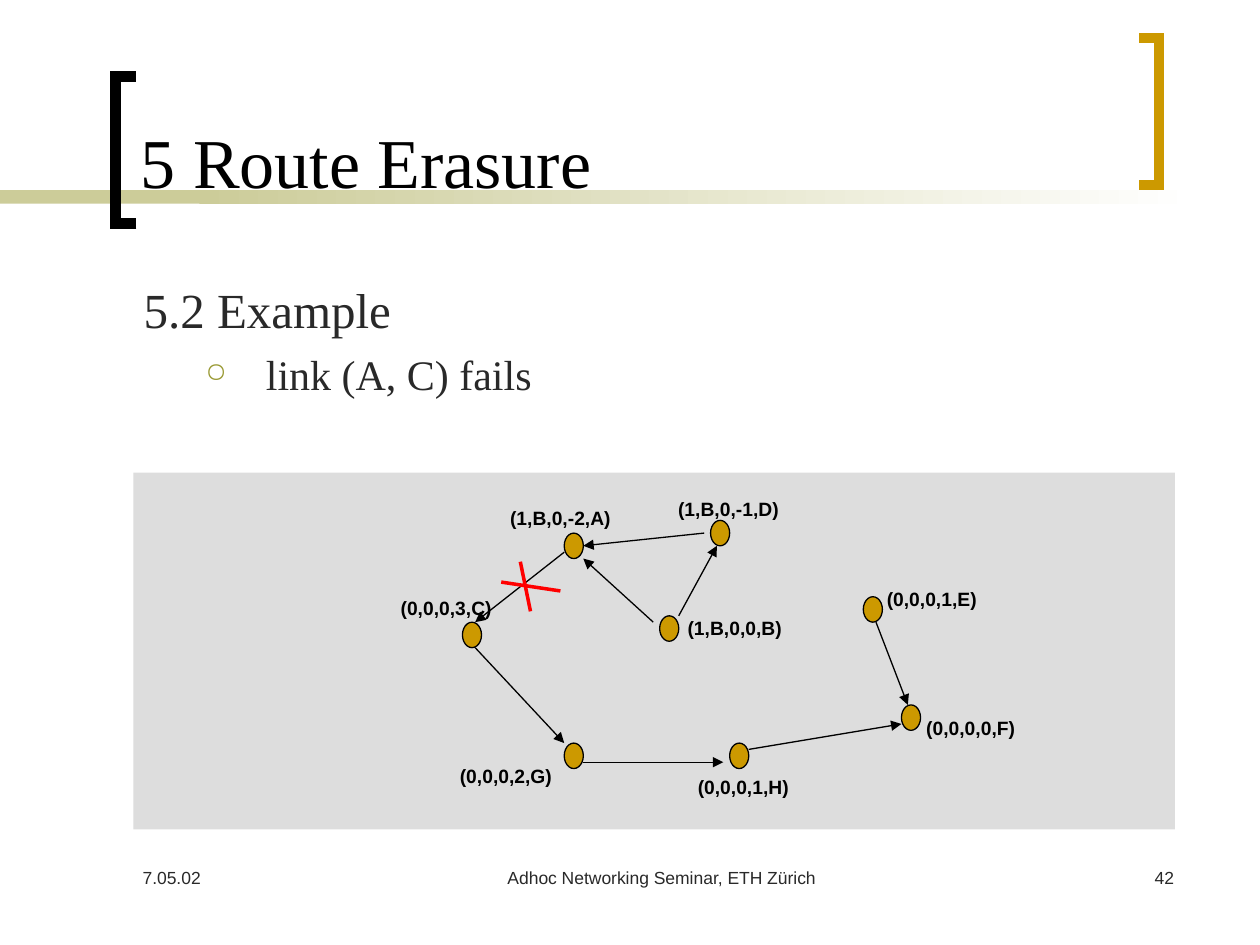
"""Build the Route Erasure slide with its network graph."""
from typing import NamedTuple

from lxml import etree
from pptx import Presentation
from pptx.dml.color import RGBColor
from pptx.enum.shapes import MSO_CONNECTOR, MSO_SHAPE
from pptx.enum.text import MSO_ANCHOR, MSO_AUTO_SIZE, PP_ALIGN
from pptx.oxml.ns import qn
from pptx.util import Inches, Pt

RECT, OVAL = MSO_SHAPE.RECTANGLE, MSO_SHAPE.OVAL
LINE = MSO_CONNECTOR.STRAIGHT
LEFT, MID, RIGHT = PP_ALIGN.LEFT, PP_ALIGN.CENTER, PP_ALIGN.RIGHT
TOP, BASE = MSO_ANCHOR.TOP, MSO_ANCHOR.BOTTOM
FIXED = MSO_AUTO_SIZE.NONE

BLACK = RGBColor(0x00, 0x00, 0x00)
WHITE = RGBColor(0xFF, 0xFF, 0xFF)
INK = RGBColor(0x29, 0x29, 0x29)
GOLD = RGBColor(0xCC, 0x99, 0x00)
SAND = RGBColor(0xCC, 0xCC, 0x99)
OLIVE = RGBColor(0x99, 0x99, 0x33)
GREY = RGBColor(0xDD, 0xDD, 0xDD)
RED = RGBColor(0xFF, 0x00, 0x00)

SERIF, SANS = "Times New Roman", "Arial"


class Grid(NamedTuple):
    left: float
    top: float
    step: float

    def spot(self, col: float, row: float) -> tuple:
        return Inches(self.left + col * self.step), Inches(self.top + row * self.step)

    def size(self, cols: float, rows: float) -> tuple:
        return Inches(cols * self.step), Inches(rows * self.step)


class Box(NamedTuple):
    col: float
    row: float
    cols: float
    rows: float


class Node(NamedTuple):
    col: float
    row: float
    text: str
    tcol: float
    trow: float


class Link(NamedTuple):
    start: tuple
    end: tuple


class Brace(NamedTuple):
    edge: float
    tip: float
    top: float
    color: RGBColor


class Foot(NamedTuple):
    box: Box
    text: str
    align: PP_ALIGN


PAGE = Grid(0, 0, 10 / 120)
GRAPH = Grid(3.67, 4.13, 1.01 / 20)

NODES = [
    Node(16, 2, "(1,B,0,-2,A)", 6.1, -3),
    Node(39, 0, "(1,B,0,-1,D)", 32.5, -4.4),
    Node(0, 16, "(0,0,0,3,C)", -11.1, 11.1),
    Node(63, 12, "(0,0,0,1,E)", 65.3, 9.7),
    Node(31, 15, "(1,B,0,0,B)", 34, 14.3),
    Node(16, 35, "(0,0,0,2,G)", -1.8, 37.6),
    Node(42, 35, "(0,0,0,1,H)", 35.6, 39.2),
    Node(69, 29, "(0,0,0,0,F)", 71.5, 30),
]
LINKS = [
    Link((16, 5), (2, 16)),
    Link((38, 2), (19, 4)),
    Link((2, 20), (16, 35)),
    Link((30, 16), (19, 6)),
    Link((34, 15), (40, 4)),
    Link((19, 38), (41, 38)),
    Link((45, 36), (69, 32)),
    Link((65, 16), (70, 29)),
]
CROSS = [Link((9.1, 6.5), (10.7, 14.3)), Link((6.1, 9.7), (15.4, 11.1))]
BRACES = [Brace(11, 13, 7.3, BLACK), Brace(110.4, 108.5, 3.6, GOLD)]
FEET = [
    Foot(Box(12.4, 82, 25, 6), "7.05.02", LEFT),
    Foot(Box(44, 82, 38, 6), "Adhoc Networking Seminar, ETH Zürich", MID),
    Foot(Box(88, 82, 25, 6), "42", RIGHT),
]


def place(grid: Grid, box: Box) -> tuple:
    return *grid.spot(box.col, box.row), *grid.size(box.cols, box.rows)


def write(par, text: str, *, font=SANS, size=10, color=INK, bold=False,
          align=LEFT, before=0) -> None:
    par.alignment = align
    par.space_before = Pt(before)
    run = par.add_run()
    run.text = text
    run.font.name, run.font.size, run.font.bold = font, Pt(size), bold
    run.font.color.rgb = color


def frame(shapes, grid: Grid, box: Box, pad=(0.1, 0.05), wrap=True):
    body = shapes.add_textbox(*place(grid, box)).text_frame
    body.word_wrap = wrap
    body.vertical_anchor = TOP
    body.margin_left = body.margin_right = Inches(pad[0])
    body.margin_top = body.margin_bottom = Inches(pad[1])
    return body


def solid(shapes, grid: Grid, box: Box, kind, fill: RGBColor, line=None):
    shape = shapes.add_shape(kind, *place(grid, box))
    shape.shadow.inherit = False
    shape.fill.solid()
    shape.fill.fore_color.rgb = fill
    if line is None:
        shape.line.fill.background()
    else:
        shape.line.color.rgb = line
        shape.line.width = Pt(0.75)
    return shape


def join(shapes, link: Link, color=BLACK, width=0.75, arrow=True) -> None:
    line = shapes.add_connector(LINE, *GRAPH.spot(*link.start), *GRAPH.spot(*link.end))
    line.line.color.rgb = color
    line.line.width = Pt(width)
    if arrow:
        etree.SubElement(line.line._get_or_add_ln(), qn("a:tailEnd"), type="triangle")
    etree.SubElement(line._element.spPr, qn("a:effectLst"))


def brace(shapes, item: Brace) -> None:
    foot = item.top + 14
    ends = [(item.tip, foot), (item.edge, foot), (item.edge, item.top), (item.tip, item.top)]
    first, *rest = [PAGE.spot(*end) for end in ends]
    path = shapes.build_freeform(*first)
    path.add_line_segments(rest, close=False)
    shape = path.convert_to_shape()
    shape.shadow.inherit = False
    shape.fill.background()
    shape.line.color.rgb = item.color
    shape.line.width = Pt(6)
    etree.SubElement(shape.line._get_or_add_ln(), qn("a:miter"), lim="800000")


def indent(par, left: float, hang: float, mark="") -> None:
    props = par._p.get_or_add_pPr()
    props.set("marL", str(Inches(left)))
    props.set("indent", str(Inches(-hang)))
    if mark:
        tint = etree.SubElement(props, qn("a:buClr"))
        etree.SubElement(tint, qn("a:srgbClr"), val=str(OLIVE))
        etree.SubElement(props, qn("a:buSzPct"), val="65000")
        etree.SubElement(props, qn("a:buChar"), char=mark)


def decor(shapes) -> None:
    solid(shapes, PAGE, Box(0, 18.1, 28, 1.3), RECT, SAND)
    fade = solid(shapes, PAGE, Box(19, 18.1, 95, 1.3), RECT, SAND).fill
    fade.gradient()
    fade.gradient_angle = 0
    for stop, tint, pos in zip(fade.gradient_stops, (SAND, WHITE), (0, 1)):
        stop.color.rgb, stop.position = tint, pos
    for item in BRACES:
        brace(shapes, item)
    for foot in FEET:
        write(frame(shapes, PAGE, foot.box).paragraphs[0], foot.text, align=foot.align)


def head(shapes) -> None:
    title = shapes.title
    title.left, title.top, title.width, title.height = place(PAGE, Box(12.2, 1.3, 94, 18.6))
    title.text_frame.auto_size = FIXED
    title.text_frame.vertical_anchor = BASE
    write(title.text_frame.paragraphs[0], "5 Route Erasure", font=SERIF, size=40, color=BLACK)
    body = frame(shapes, PAGE, Box(12.5, 26, 100.5, 54))
    indent(body.paragraphs[0], 0.49, 0.49)
    write(body.paragraphs[0], "5.2 Example", font=SERIF, size=28)
    point = body.add_paragraph()
    point.level = 1
    indent(point, 0.97, 0.48, "○")
    write(point, "link (A, C) fails", font=SERIF, size=24, before=6)


def graph(shapes) -> None:
    solid(shapes, PAGE, Box(12.7, 45, 99.2, 34), RECT, GREY)
    for node in NODES:
        solid(shapes, GRAPH, Box(node.col, node.row, 3, 4), OVAL, GOLD, BLACK)
    for link in LINKS:
        join(shapes, link)
    for node in NODES:
        label = frame(shapes, GRAPH, Box(node.tcol, node.trow, 20, 5), (0.07, 0.04), False)
        write(label.paragraphs[0], node.text, size=11, color=BLACK, bold=True)
    for link in CROSS:
        join(shapes, link, RED, 2, False)


def main() -> None:
    deck = Presentation()
    deck.slide_width, deck.slide_height = PAGE.size(120, 90)
    shapes = deck.slides.add_slide(deck.slide_layouts[5]).shapes
    decor(shapes)
    head(shapes)
    graph(shapes)
    deck.save("out.pptx")


if __name__ == "__main__":
    main()
